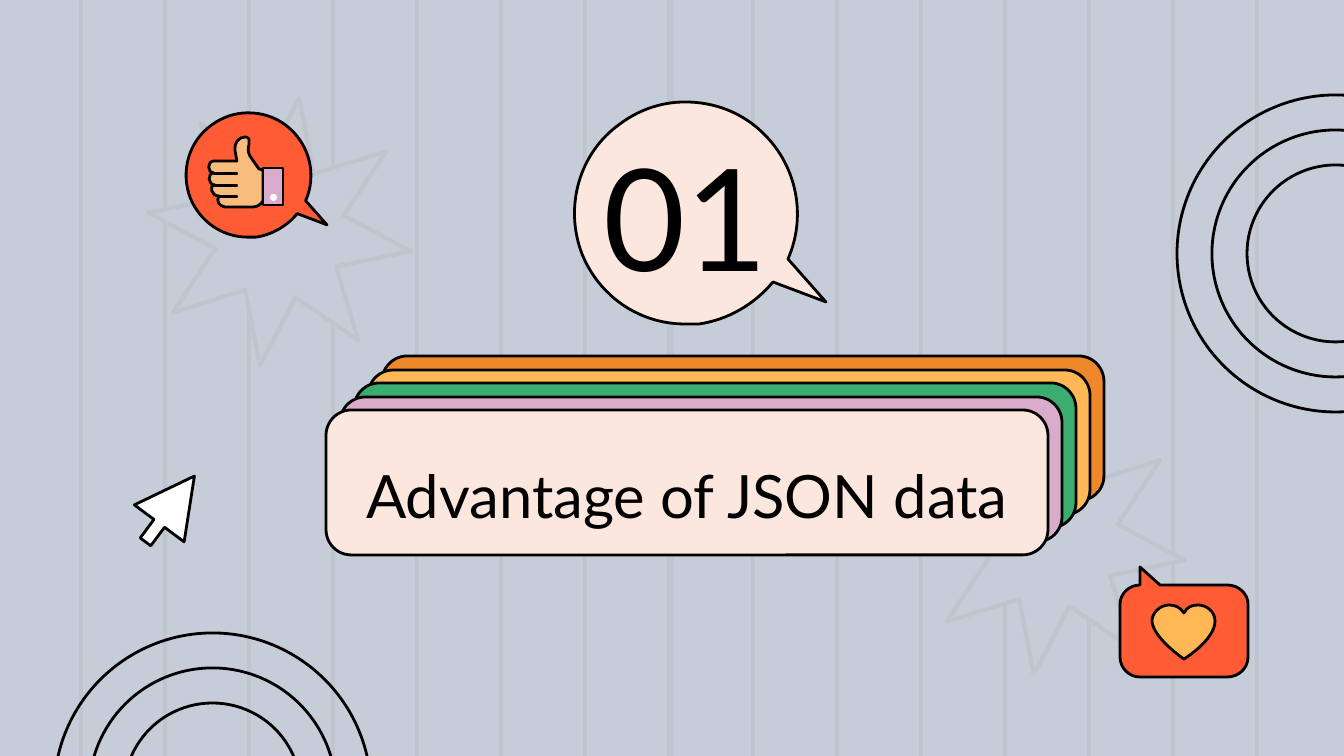
from lxml import etree
from pptx import Presentation
from pptx import util as u
from pptx.dml import color
from pptx.enum import shapes, text
from pptx.oxml import ns

PX = u.Inches(1) / 134.4
SHAPE = shapes.MSO_SHAPE
COLORS = {
    "sky": "C6CDD8", "stripe": "C0C4CE", "black": "000000", "white": "FFFFFF",
    "orange": "EE882B", "yellow": "FFB855", "green": "3BAD70", "lilac": "DAACCB",
    "cream": "FCE7DF", "red": "FF5B34", "skin": "F8BC7D", "plum": "512944",
}
BUBBLE = (
    (0, 111), (4, 111, 8, 111, 14, 111), (42, 107, 69, 92, 88, 69), (141, 89), (103, 46),
    (123, 1, 111, -54, 70, -87), (50, -103, 26, -111, 0, -111),
    (-22, -111, -45, -104, -65, -89), (-106, -60, -121, -6, -103, 41),
    (-86, 83, -46, 111, 0, 111),
)


def px(n):
    return u.Emu(round(n * PX))


def rgb(name):
    return color.RGBColor.from_string(COLORS[name])


class Canvas:
    font = "Lato"
    line = "black"
    weight = 1.5

    def __init__(self, slide):
        self.s = slide

    def background(self, fill):
        self.s.background.fill.solid()
        self.s.background.fill.fore_color.rgb = rgb(fill)

    def paint(self, sp, fill=None, line=line, weight=weight):
        sp.shadow.inherit = False
        if fill:
            sp.fill.solid()
            sp.fill.fore_color.rgb = rgb(fill)
        else:
            sp.fill.background()
        if line:
            sp.line.color.rgb = rgb(line)
            sp.line.width = u.Pt(weight)
        else:
            sp.line.fill.background()
        return sp

    def shape(self, kind, x, y, w, h, adj=(), rotation=0, **style):
        sp = self.s.shapes.add_shape(kind, px(x), px(y), px(w), px(h))
        for i, value in enumerate(adj):
            sp.adjustments[i] = value
        sp.rotation = rotation
        return self.paint(sp, **style)

    def stripe(self, x):
        c = self.s.shapes.add_connector(shapes.MSO_CONNECTOR.STRAIGHT, px(x), 0, px(x), px(756))
        c.line.color.rgb = rgb("stripe")
        c.line.width = u.Pt(2.25)
        etree.SubElement(c._element.spPr, ns.qn("a:effectLst"))

    def rings(self, x, y):
        for inset in (0, 35, 70):
            size = 317 - 2 * inset
            self.shape(SHAPE.OVAL, x + inset, y + inset, size, size)

    def outline(self, start, *segments, **style):
        points = [seg[i:i + 2] for seg in segments for i in range(0, len(seg), 2)]
        fb = self.s.shapes.build_freeform(*map(px, start))
        fb.add_line_segments([(px(x), px(y)) for x, y in points], close=True)
        sp = fb.convert_to_shape()
        steps = iter(sp._element.xpath(".//a:lnTo"))
        for seg in segments:
            step = next(steps)
            if len(seg) == 6:
                bezier = etree.Element(ns.qn("a:cubicBezTo"))
                step.addprevious(bezier)
                for part in (step, next(steps), next(steps)):
                    bezier.append(part[0])
                    part.getparent().remove(part)
        return self.paint(sp, **style)

    def bubble(self, cx, cy, scale, fill):
        moved = [tuple((cx, cy)[i % 2] + scale * n for i, n in enumerate(seg)) for seg in BUBBLE]
        self.outline(*moved, fill=fill)

    def label(self, words, x, y, w, h, size, left=13, top=13, spacing=1.0):
        tf = self.s.shapes.add_textbox(px(x), px(y), px(w), px(h)).text_frame
        frame = {
            "word_wrap": True, "vertical_anchor": text.MSO_ANCHOR.TOP,
            "margin_left": px(left), "margin_top": px(top),
            "margin_right": px(13), "margin_bottom": px(13),
        }
        for name, value in frame.items():
            setattr(tf, name, value)
        p = tf.paragraphs[0]
        p.line_spacing = spacing
        r = p.add_run()
        r.text = words
        for name, value in {"name": self.font, "size": u.Pt(size)}.items():
            setattr(r.font, name, value)
        r.font.color.rgb = rgb("black")


def main():
    prs = Presentation()
    prs.slide_width, prs.slide_height = px(1344), px(756)
    c = Canvas(prs.slides.add_slide(prs.slide_layouts[6]))
    c.background("sky")

    c.stripe(672)
    for i in range(15):
        c.stripe(81 + 84 * i)
    for x, y in ((147, 97), (921, 406)):
        c.shape(SHAPE.STAR_8_POINT, x, y, 265, 270, adj=[0.25], rotation=8.4,
                fill="sky", line="stripe", weight=2.25)
    c.rings(1177, 95)
    c.rings(54, 633)

    cards = ("orange", "yellow", "green", "lilac", "cream")
    for depth, fill in zip(range(4, -1, -1), cards):
        c.shape(SHAPE.ROUNDED_RECTANGLE, 326 + 14 * depth, 410 - 27 * depth // 2, 722, 145,
                adj=[0.175], fill=fill)
    c.bubble(685, 213, 1, "cream")
    c.label("Advantage of JSON data", 326, 410, 738, 117, 32, left=40, spacing=1.5)
    c.label("01", 589, 130, 219, 168, 76, left=14, top=0)

    c.outline((1140, 677), (1129, 677, 1120, 668, 1120, 657), (1120, 604),
              (1120, 594, 1129, 585, 1140, 585), (1140, 567), (1160, 585), (1227, 585),
              (1239, 585, 1248, 594, 1248, 604), (1248, 657),
              (1248, 668, 1239, 677, 1227, 677), fill="red")
    c.outline((1169, 605), (1160, 605, 1152, 613, 1152, 621), (1153, 638, 1184, 659, 1184, 659),
              (1184, 659, 1215, 640, 1215, 621), (1215, 612, 1207, 605, 1198, 605),
              (1192, 605, 1187, 607, 1184, 613), (1180, 607, 1175, 605, 1169, 605),
              fill="yellow")

    c.bubble(248, 175, 0.56, "red")
    c.outline((245, 137), (239, 137, 234, 143, 235, 150), (237, 161), (214, 161),
              (207, 161, 207, 173, 214, 173), (207, 173, 208, 185, 215, 185),
              (209, 185, 211, 196, 219, 196), (216, 201, 219, 206, 225, 207), (253, 207),
              (258, 207, 261, 204, 263, 201), (263, 170), (259, 169), (250, 156),
              (248, 152, 248, 149, 249, 145), (249, 139), (248, 137, 246, 137, 245, 137),
              fill="skin")
    c.outline((263, 168), (263, 205), (283, 205), (283, 168), fill="lilac")
    for x, y in ((214, 173), (215, 185), (219, 196)):
        c.outline((x, y), (x, y + 1), (237, y + 1), (237, y), fill="plum", weight=0.75)
    c.shape(SHAPE.OVAL, 270, 194, 7, 7, fill="white", line=None)

    c.shape(SHAPE.RIGHT_ARROW, 129, 478, 82, 62, adj=[0.213, 0.95], rotation=306.6, fill="white")
    prs.save("out.pptx")


if __name__ == "__main__":
    main()
